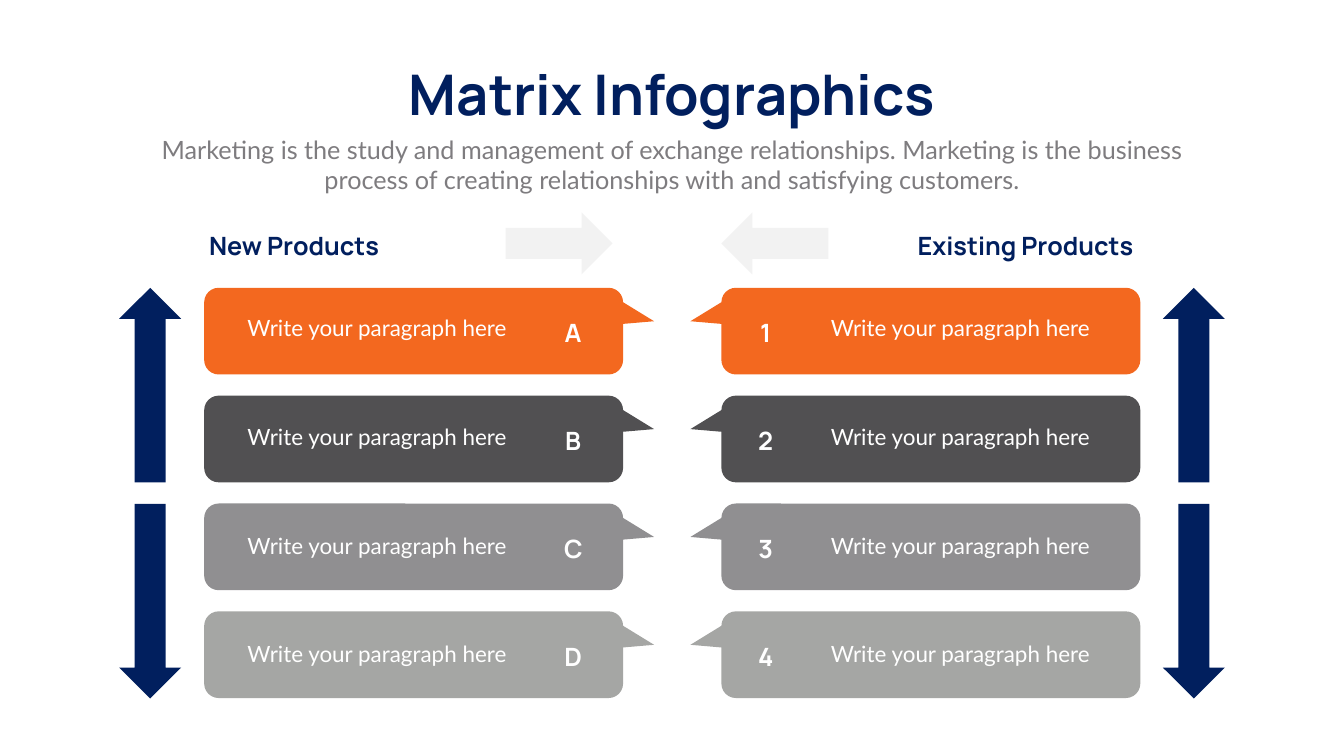
from dataclasses import dataclass

from pptx import Presentation
from pptx import util as u
from pptx.dml.color import RGBColor
from pptx.enum import shapes, text

COLUMNS, ROWS = 26.66, 15  # grid of one-inch cells


@dataclass(frozen=True)
class Theme:
    heading_font: str = "Manrope"
    body_font: str = "Lato"
    navy: str = "011F5E"
    grey: str = "7E7C7F"
    pale: str = "F2F2F2"
    white: str = "FFFFFF"
    cards: tuple = ("F3681F", "515052", "908F91", "A5A6A4")
    title_size: int = 80
    label_size: int = 36
    body_size: int = 32


@dataclass(frozen=True)
class Side:
    heading: str
    heading_left: float
    heading_width: float
    align: int
    card_left: float
    pointer: float  # positive points right, negative points left
    text_left: float
    badge_center: float
    badges: str
    axis_center: float
    hint_center: float
    hint_turn: int


class MatrixSlide:
    def __init__(self, deck, theme):
        self.theme = theme
        self.column = deck.slide_width / COLUMNS
        self.row = deck.slide_height / ROWS
        self.slide = deck.slides.add_slide(deck.slide_layouts[0])

    def area(self, left, top, width, height):
        return (u.Emu(round(left * self.column)), u.Emu(round(top * self.row)),
                u.Emu(round(width * self.column)), u.Emu(round(height * self.row)))

    def set_words(self, box, words, size, font, color, bold=False,
                  align=text.PP_ALIGN.CENTER, wrap=True):
        frame = box.text_frame
        frame.word_wrap = wrap
        frame.auto_size = text.MSO_AUTO_SIZE.SHAPE_TO_FIT_TEXT
        frame.vertical_anchor = text.MSO_ANCHOR.TOP
        para = frame.paragraphs[0]
        para.alignment = align
        para.space_before = u.Pt(0)
        para.line_spacing = 1.0
        span = para.add_run()
        span.text = words
        span.font.size = u.Pt(size)
        span.font.name = font
        span.font.bold = bold
        span.font.color.rgb = RGBColor.from_string(color)

    def placeholder(self, index, area, words, *style, **options):
        box = self.slide.placeholders[index]
        box.left, box.top, box.width, box.height = self.area(*area)
        self.set_words(box, words, *style, **options)

    def label(self, area, words, align=text.PP_ALIGN.CENTER, color=None):
        """Bold heading or badge on one line."""
        box = self.slide.shapes.add_textbox(*self.area(*area))
        self.set_words(box, words, self.theme.label_size, self.theme.heading_font,
                       color or self.theme.white, bold=True, align=align, wrap=False)

    def body(self, area, words):
        box = self.slide.shapes.add_textbox(*self.area(*area))
        self.set_words(box, words, self.theme.body_size, self.theme.body_font,
                       self.theme.white)

    def shape(self, kind, area, color):
        item = self.slide.shapes.add_shape(kind, *self.area(*area))
        item.shadow.inherit = False
        item.fill.solid()
        item.fill.fore_color.rgb = RGBColor.from_string(color)
        item.line.fill.background()
        return item

    def card(self, area, color, pointer):
        item = self.shape(shapes.MSO_SHAPE.ROUNDED_RECTANGULAR_CALLOUT, area, color)
        for index, value in enumerate((pointer, -0.114, 0.167)):
            item.adjustments[index] = value

    def arrow(self, center_x, center_y, length, turn, color, thickness=1.23):
        area = (center_x - length / 2, center_y - thickness / 2, length, thickness)
        self.shape(shapes.MSO_SHAPE.RIGHT_ARROW, area, color).rotation = turn


def main():
    deck = Presentation()
    deck.slide_width, deck.slide_height = u.Inches(COLUMNS), u.Inches(ROWS)
    theme = Theme()
    page = MatrixSlide(deck, theme)

    # Title and introduction
    page.placeholder(0, (7.57, 1.14, 11.53, 1.45), "Matrix Infographics",
                     theme.title_size, theme.heading_font, theme.navy,
                     bold=True, wrap=False)
    page.placeholder(1, (2.92, 2.61, 20.82, 1.31),
                     "Marketing is the study and management of exchange relationships. "
                     "Marketing is the business process of creating relationships "
                     "with and satisfying customers.",
                     theme.label_size, theme.body_font, theme.grey)

    sides = (
        Side("New Products", 4.05, 3.72, text.PP_ALIGN.LEFT, 4.05, 0.574,
             4.7, 11.37, "ABCD", 2.98, 11.09, 0),
        Side("Existing Products", 18.01, 4.57, text.PP_ALIGN.RIGHT, 14.31, -0.574,
             16.27, 15.19, "1234", 23.68, 15.37, 180),
    )
    for side in sides:
        # Heading and the pale arrow beside it
        page.label((side.heading_left, 4.52, side.heading_width, 0.71),
                   side.heading, side.align, theme.navy)
        page.arrow(side.hint_center, 4.83, 2.12, side.hint_turn, theme.pale)

        # Outer arrows, up and down
        page.arrow(side.axis_center, 7.64, 3.86, 270, theme.navy)
        page.arrow(side.axis_center, 11.93, 3.86, 90, theme.navy)

        # Callout cards with text and badge
        for index, (color, badge) in enumerate(zip(theme.cards, side.badges)):
            page.card((side.card_left, 5.71 + 2.14 * index, 8.31, 1.72),
                      color, side.pointer)
            page.body((side.text_left, 6.18 + 2.16 * index, 5.56, 0.64),
                      "Write your paragraph here")
            page.label((side.badge_center - 0.28, 6.25 + 2.14 * index, 0.56, 0.71),
                       badge)

    deck.save("out.pptx")


if __name__ == "__main__":
    main()
